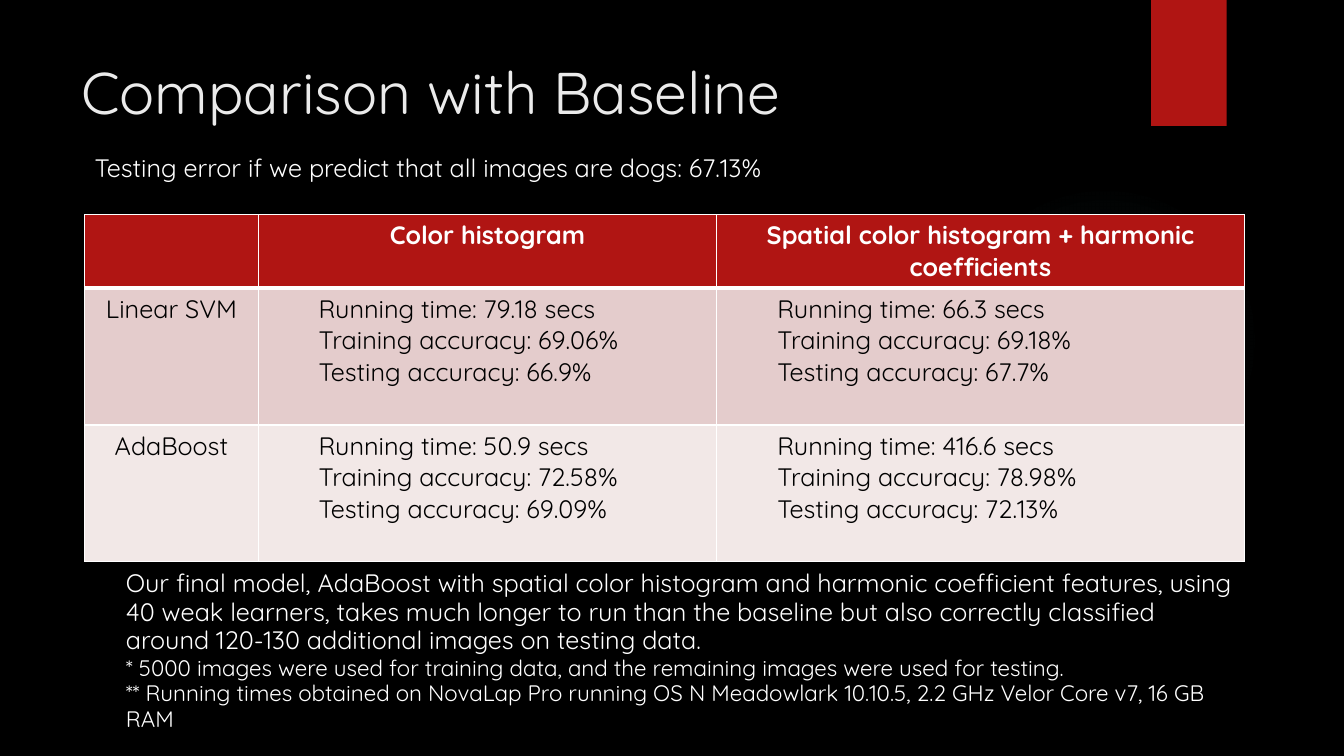
from lxml import etree
from pptx import Presentation
from pptx import util as u
from pptx.dml.color import RGBColor
from pptx.enum import shapes, text
from pptx.oxml import parse_xml
from pptx.oxml.ns import nsdecls, qn

presentation = Presentation()
presentation.slide_width, presentation.slide_height = u.Inches(13.33), u.Inches(7.5)
unit = presentation.slide_height / 90


def grid(*lengths):
    return [u.Emu(round(length * unit)) for length in lengths]


def write(paragraph, words, color, size=18, **formats):
    run = paragraph.add_run()
    run.text = words
    run.font.color.rgb = RGBColor.from_string(color)
    for name, value in {"name": "Quicksand", "size": u.Pt(size), **formats}.items():
        setattr(run.font, name, value)


slide = presentation.slides.add_slide(presentation.slide_layouts[5])
slide.background.fill.solid()
slide.background.fill.fore_color.rgb = RGBColor.from_string("000000")

glow = slide.shapes.add_shape(shapes.MSO_SHAPE.OVAL, *grid(113, 22, 37, 37))
ribbon = slide.shapes.add_shape(shapes.MSO_SHAPE.RECTANGLE, *grid(137, 0, 9, 15))
for shape in (glow, ribbon):
    shape.shadow.inherit = False
    shape.line.fill.background()
ribbon.fill.solid()
ribbon.fill.fore_color.rgb = RGBColor.from_string("B01513")
stops = "".join(
    f'<a:gs pos="{position}000"><a:srgbClr val="50B9C1"><a:alpha val="{alpha}000"/></a:srgbClr></a:gs>'
    for position, alpha in ((0, 7), (36, 6), (69, 0))
)
glow._element.spPr.find(qn("a:prstGeom")).addnext(parse_xml(
    f'<a:gradFill {nsdecls("a")}><a:gsLst>{stops}</a:gsLst><a:path path="circle">'
    '<a:fillToRect l="50000" t="50000" r="50000" b="50000"/></a:path></a:gradFill>'
))

title = slide.shapes.title
title.left, title.top, title.width, title.height = grid(8.5, 6, 123.5, 18.4)
title.text_frame.vertical_anchor = text.MSO_ANCHOR.TOP
title.text_frame.auto_size = text.MSO_AUTO_SIZE.NONE
title.text_frame.paragraphs[0].alignment = text.PP_ALIGN.LEFT
write(title.text_frame.paragraphs[0], "Comparison with Baseline", "EBEBEB", 42)

columns, rows = (20.64, 54.6, 62.76), (8.68, 16.3, 16.3)
results = [
    ("B01513", "FFFFFF", [[""], ["Color histogram"], ["Spatial color histogram + harmonic coefficients"]]),
    ("E4CCCC", "000000", [
        ["Linear SVM"],
        ["Running time: 79.18 secs", "Training accuracy: 69.06%", "Testing accuracy: 66.9%"],
        ["Running time: 66.3 secs", "Training accuracy: 69.18%", "Testing accuracy: 67.7%"],
    ]),
    ("F2E8E7", "000000", [
        ["AdaBoost"],
        ["Running time: 50.9 secs", "Training accuracy: 72.58%", "Testing accuracy: 69.09%"],
        ["Running time: 416.6 secs", "Training accuracy: 78.98%", "Testing accuracy: 72.13%"],
    ]),
]
table = slide.shapes.add_table(3, 3, *grid(10.08, 25.56, sum(columns), sum(rows))).table
for column, width in zip(table.columns, grid(*columns)):
    column.width = width
for row, height in zip(table.rows, grid(*rows)):
    row.height = height
for row_number, (fill, color, entries) in enumerate(results):
    for column_number, lines in enumerate(entries):
        cell = table.cell(row_number, column_number)
        properties = cell._tc.get_or_add_tcPr()
        for side in ("lnL", "lnR", "lnT", "lnB"):
            header_edge = (row_number, side) in ((0, "lnB"), (1, "lnT"))
            border = etree.SubElement(properties, qn(f"a:{side}"), w=str(u.Pt(3 if header_edge else 1)))
            paint = etree.SubElement(border, qn("a:solidFill"))
            etree.SubElement(paint, qn("a:srgbClr"), val="FFFFFF")
        cell.fill.solid()
        cell.fill.fore_color.rgb = RGBColor.from_string(fill)
        for line_number, line in enumerate(lines):
            frame = cell.text_frame
            paragraph = frame.add_paragraph() if line_number else frame.paragraphs[0]
            if len(lines) == 1:
                paragraph.alignment = text.PP_ALIGN.CENTER
            else:
                paragraph.level = 1
                paragraph._p.get_or_add_pPr().set("marL", str(u.Inches(0.5)))
            if line:
                write(paragraph, line, color, bold=row_number == 0)

notes = [
    ((13.8, 67.2, 134.3, 18.6), 0.95, [
        ("Our final model, AdaBoost with spatial color histogram and harmonic coefficient features, using "
         "40 weak learners, takes much longer to run than the baseline but also correctly classified "
         "around 120-130 additional images on testing data.", 18),
        ("* 5000 images were used for training data, and the remaining images were used for testing.", 16),
        ("** Running times obtained on NovaLap Pro running OS N Meadowlark 10.10.5, 2.2 GHz Velor Core v7, "
         "16 GB RAM", 16),
    ]),
    ((10.08, 17.52, 138, 4.8), 1, [("Testing error if we predict that all images are dogs: 67.13%", 18)]),
]
for place, spacing, lines in notes:
    frame = slide.shapes.add_textbox(*grid(*place)).text_frame
    frame.word_wrap = True
    for line_number, (line, size) in enumerate(lines):
        paragraph = frame.add_paragraph() if line_number else frame.paragraphs[0]
        paragraph.line_spacing = spacing
        write(paragraph, line, "FFFFFF", size)

presentation.save("out.pptx")
